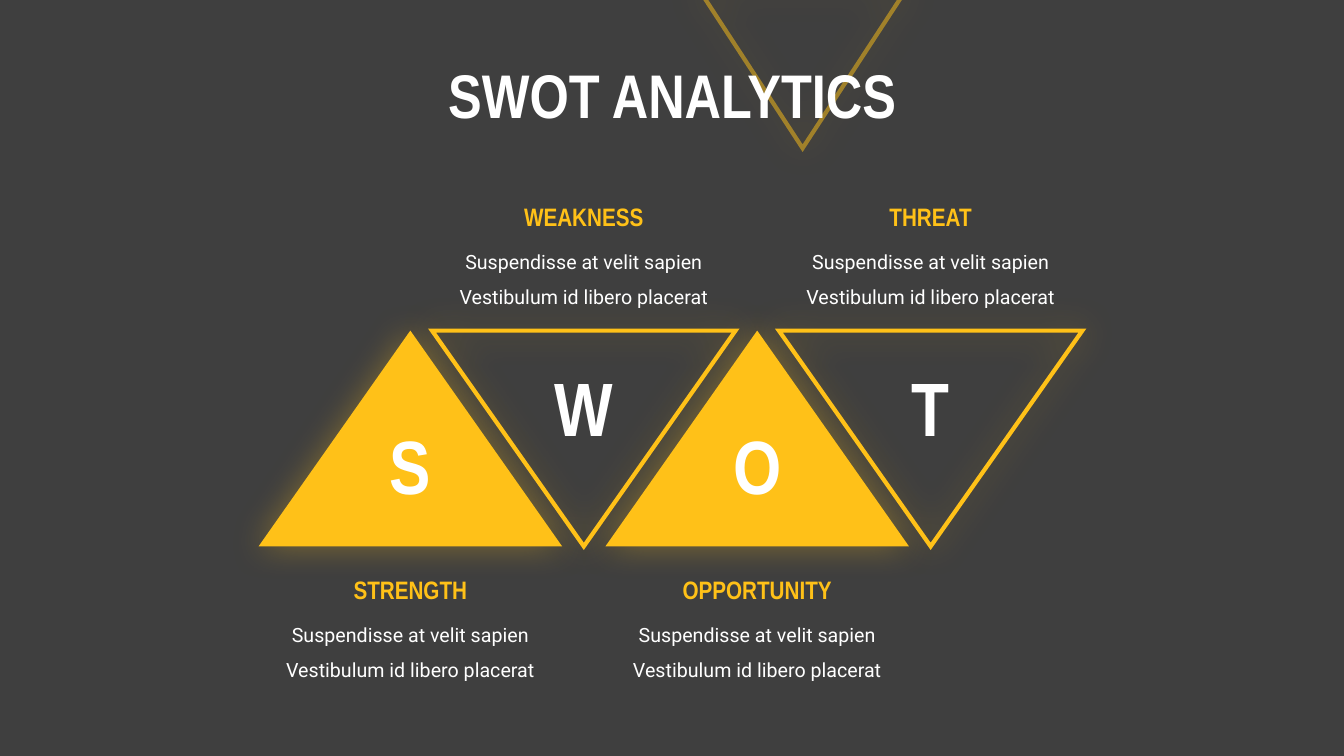
from dataclasses import dataclass

from lxml import etree
from pptx import Presentation
from pptx.dml.color import RGBColor
from pptx.enum.shapes import MSO_SHAPE
from pptx.enum.text import MSO_ANCHOR, MSO_AUTO_SIZE, PP_ALIGN
from pptx.oxml.ns import qn
from pptx.util import Inches, Pt

TRIANGLE = MSO_SHAPE.ISOSCELES_TRIANGLE
CENTER = PP_ALIGN.CENTER
MIDDLE = MSO_ANCHOR.MIDDLE
GROW, NO_FIT = MSO_AUTO_SIZE.SHAPE_TO_FIT_TEXT, MSO_AUTO_SIZE.NONE

DARK, GOLD, WHITE = "3F3F3F", "FFC118", "FFFFFF"
HEAD_FONT, BODY_FONT = "Arial Narrow", "Roboto"

# Grid: four column centres, one row of triangles, captions above or below
FIRST_CENTRE, PITCH = 4.07, 1.72
TRI_TOP, TRI_W, TRI_H = 3.28, 3.01, 2.14
LETTER_SIZE = 1.01
HEAD_W, HEAD_H = 2.45, 0.4
BODY_W, BODY_H, BODY_DROP = 2.98, 0.77, 0.36
BODY_TEXT = "Suspendisse at velit sapien Vestibulum id libero placerat"


@dataclass
class Factor:
    name: str
    points_up: bool

    @property
    def letter_top(self) -> float:
        return 4.11 if self.points_up else 3.53

    @property
    def caption_top(self) -> float:
        return 5.65 if self.points_up else 1.95


FACTORS = [
    Factor("STRENGTH", True),
    Factor("WEAKNESS", False),
    Factor("OPPORTUNITY", True),
    Factor("THREAT", False),
]


def rgb(color: str) -> RGBColor:
    return RGBColor.from_string(color)


def set_alpha(color_el, percent: int) -> None:
    etree.SubElement(color_el, qn("a:alpha"), val=str(percent * 1000))


def add_halo(sp) -> None:
    """Surround a shape with a soft gold shadow."""
    sp.shadow.inherit = False
    effects = sp._element.spPr.find(qn("a:effectLst"))
    halo = etree.SubElement(effects, qn("a:outerShdw"), blurRad=str(Pt(25)),
                            dist="0", dir="0", algn="ctr", rotWithShape="0")
    set_alpha(etree.SubElement(halo, qn("a:srgbClr"), val=GOLD), 35)


def add_triangle(s, centre: float, top: float, width: float, height: float,
                 points_up: bool, line_alpha: int = 100) -> None:
    """Upward triangles are solid, downward ones outlined."""
    sp = s.shapes.add_shape(TRIANGLE, Inches(centre - width / 2), Inches(top),
                            Inches(width), Inches(height))
    if points_up:
        sp.fill.solid()
        sp.fill.fore_color.rgb = rgb(GOLD)
        sp.line.fill.background()
    else:
        sp.rotation = 180
        sp.fill.background()
        sp.line.color.rgb = rgb(GOLD)
        sp.line.width = Pt(3)
        ln = sp._element.spPr.find(qn("a:ln"))
        etree.SubElement(ln, qn("a:miter"), lim="800000")
        if line_alpha < 100:
            set_alpha(ln.find(".//" + qn("a:srgbClr")), line_alpha)
    add_halo(sp)


def write(tf, text: str, *, size: int, font: str = HEAD_FONT,
          color: str = WHITE, bold: bool = True, spacing: float = 1.0,
          fit=GROW) -> None:
    tf.word_wrap = True
    tf.auto_size = fit
    p = tf.paragraphs[0]
    p.alignment = CENTER
    p.line_spacing = spacing
    r = p.add_run()
    r.text = text
    r.font.name, r.font.size, r.font.bold = font, Pt(size), bold
    r.font.color.rgb = rgb(color)


def add_text(s, text: str, centre: float, top: float, width: float,
             height: float, **fmt) -> None:
    sp = s.shapes.add_textbox(Inches(centre - width / 2), Inches(top),
                              Inches(width), Inches(height))
    write(sp.text_frame, text, **fmt)


def add_title(s, text: str) -> None:
    title = s.shapes.title
    title.left, title.top = Inches(3.27), Inches(0.49)
    title.width, title.height = Inches(6.8), Inches(0.98)
    title.text_frame.vertical_anchor = MIDDLE
    write(title.text_frame, text, size=44, spacing=0.9, fit=NO_FIT)
    # Bring the title in front of the decoration
    s.shapes._spTree.append(title._element)


def main() -> None:
    prs = Presentation()
    prs.slide_width, prs.slide_height = Inches(13.33), Inches(7.5)
    s = prs.slides.add_slide(prs.slide_layouts[5])
    s.background.fill.solid()
    s.background.fill.fore_color.rgb = rgb(DARK)

    # Heading with its faded triangle
    add_triangle(s, 7.96, -0.1, 2.05, 1.57, points_up=False, line_alpha=50)
    add_title(s, "SWOT ANALYTICS")

    # Triangles, all behind the text
    columns = [(FIRST_CENTRE + i * PITCH, f) for i, f in enumerate(FACTORS)]
    for centre, f in columns:
        add_triangle(s, centre, TRI_TOP, TRI_W, TRI_H, f.points_up)

    # Letters and captions
    for centre, f in columns:
        add_text(s, f.name[0], centre, f.letter_top, LETTER_SIZE, LETTER_SIZE,
                 size=54)
        add_text(s, BODY_TEXT, centre, f.caption_top + BODY_DROP, BODY_W,
                 BODY_H, size=14, font=BODY_FONT, bold=False, spacing=1.5)
        add_text(s, f.name, centre, f.caption_top, HEAD_W, HEAD_H,
                 size=18, color=GOLD)

    prs.save("out.pptx")


if __name__ == "__main__":
    main()
